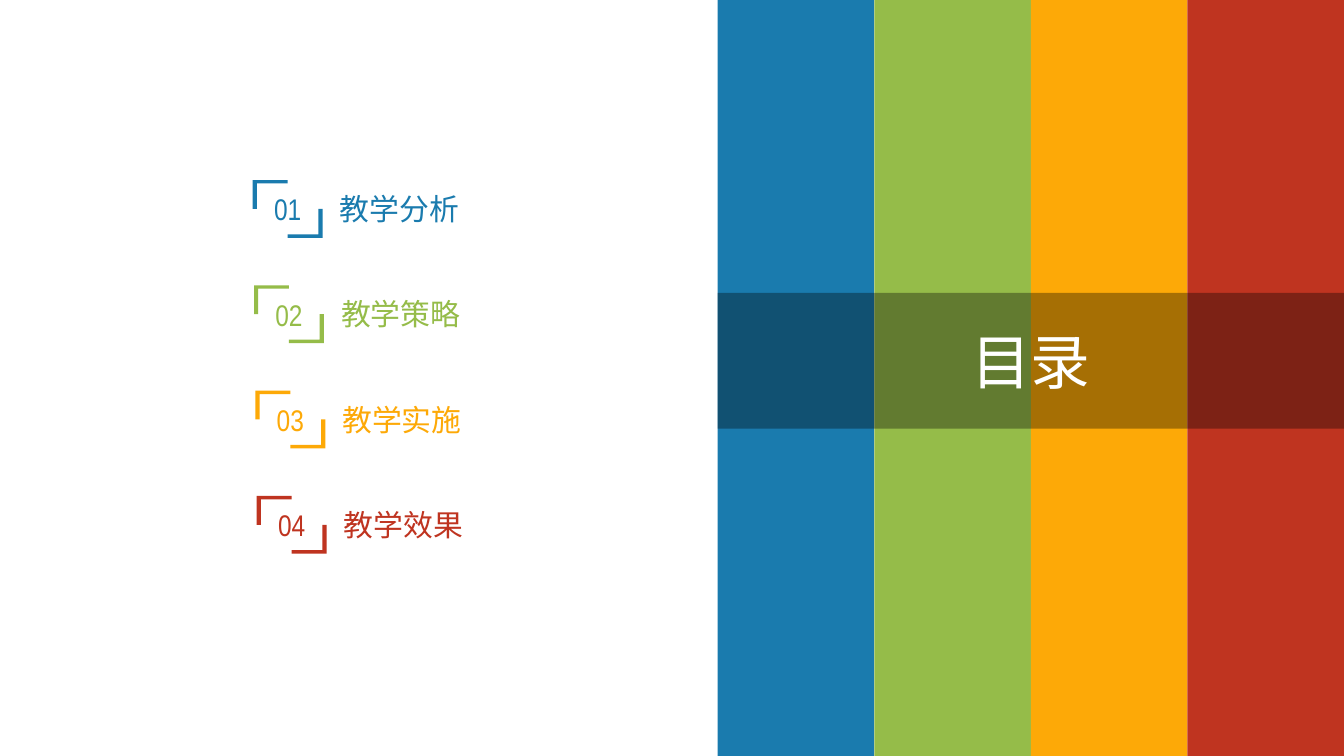
from pptx import Presentation
from pptx.dml.color import RGBColor
from pptx.enum.shapes import MSO_SHAPE as Shape
from pptx.enum.text import MSO_ANCHOR as Anchor, MSO_AUTO_SIZE as AutoSize, PP_ALIGN as Align
from pptx.oxml import parse_xml
from pptx.oxml.ns import nsdecls
from pptx.util import Inches, Pt

# 16:9 slide
W = 10
H = W * 9 / 16
COLORS = {"blue": "1A7BAE", "green": "95BC49", "orange": "FDA907",
          "red": "BF3420", "black": "000000", "white": "FFFFFF"}
CHAPTERS = [("教学分析", "blue"), ("教学策略", "green"),
            ("教学实施", "orange"), ("教学效果", "red")]

# Chapter list grid
LIST_LEFT, LIST_TOP, LIST_BOTTOM = 1.88, 1.34, 3.69
ROW_PITCH = (LIST_BOTTOM - LIST_TOP) / (len(CHAPTERS) - 1)
ROW_SHIFT = 0.01
BADGE_W, BADGE_H = 0.52, 0.43
BAR_W, BAR_H = BADGE_W * 0.06, BADGE_H * 0.06

# Colour panel grid
PANEL_LEFT = 5.34
STRIPE_W = (W - PANEL_LEFT) / len(CHAPTERS)
BAND_TOP, BAND_H = 2.18, 1.01


def rgb(name):
    return RGBColor.from_string(COLORS[name])


def paint(sp, color):
    sp.shadow.inherit = False
    sp.fill.solid()
    sp.fill.fore_color.rgb = rgb(color)
    sp.line.fill.background()


def write(sp, text, size, font, color, align=Align.LEFT, anchor=Anchor.TOP):
    tf = sp.text_frame
    tf.word_wrap = True
    tf.vertical_anchor = anchor
    tf.text = text
    p = tf.paragraphs[0]
    p.alignment = align
    f = p.runs[0].font
    f.size, f.name = Pt(size), font
    f.color.rgb = rgb(color)


def add_rect(shapes, x, y, w, h, color):
    sp = shapes.add_shape(Shape.RECTANGLE, Inches(x), Inches(y), Inches(w), Inches(h))
    paint(sp, color)
    return sp


def add_badge(s, x, y, number, color):
    """Number between two opposite corner brackets."""
    mid_x, mid_y = BADGE_W / 2, BADGE_H / 2
    top_left = [(0, 0), (mid_x, 0), (mid_x, BAR_H), (BAR_W, BAR_H),
                (BAR_W, mid_y), (0, mid_y)]
    bottom_right = [(BADGE_W - dx, BADGE_H - dy) for dx, dy in top_left]
    first, second = [[(Inches(x + dx), Inches(y + dy)) for dx, dy in corner]
                     for corner in (top_left, bottom_right)]
    fb = s.shapes.build_freeform(*first[0])
    fb.add_line_segments(first[1:])
    fb.move_to(*second[0])
    fb.add_line_segments(second[1:])
    sp = fb.convert_to_shape()
    paint(sp, color)
    write(sp, number, 16, "Arial Narrow", color, Align.CENTER, Anchor.MIDDLE)


def add_chapter(s, row, title, color):
    x = LIST_LEFT + row * ROW_SHIFT
    y = LIST_TOP + row * ROW_PITCH
    box = s.shapes.add_textbox(Inches(x + 0.55), Inches(y + 0.03), Inches(1.83), Inches(0.37))
    write(box, title, 16, "Arial", color)
    box.text_frame.auto_size = AutoSize.SHAPE_TO_FIT_TEXT
    add_badge(s, x, y, f"{row + 1:02d}", color)


def add_stripes(s):
    group = s.shapes.add_group_shape()
    for col, (_, color) in enumerate(CHAPTERS):
        add_rect(group.shapes, PANEL_LEFT + col * STRIPE_W, 0, STRIPE_W, H, color)


def add_title_band(s, title):
    sp = add_rect(s.shapes, PANEL_LEFT, BAND_TOP, W - PANEL_LEFT, BAND_H, "black")
    alpha = parse_xml(f'<a:alpha {nsdecls("a")} val="34000"/>')
    sp.element.xpath("./p:spPr/a:solidFill/a:srgbClr")[0].append(alpha)
    write(sp, title, 32, "Arial Narrow", "white", Align.CENTER, Anchor.MIDDLE)


def main():
    prs = Presentation()
    prs.slide_width, prs.slide_height = Inches(W), Inches(H)
    s = prs.slides.add_slide(prs.slide_layouts[6])
    # Chapter list on the left
    for row, (title, color) in enumerate(CHAPTERS):
        add_chapter(s, row, title, color)
    # Colour panel on the right
    add_stripes(s)
    add_title_band(s, "目录")
    prs.save("out.pptx")


if __name__ == "__main__":
    main()
